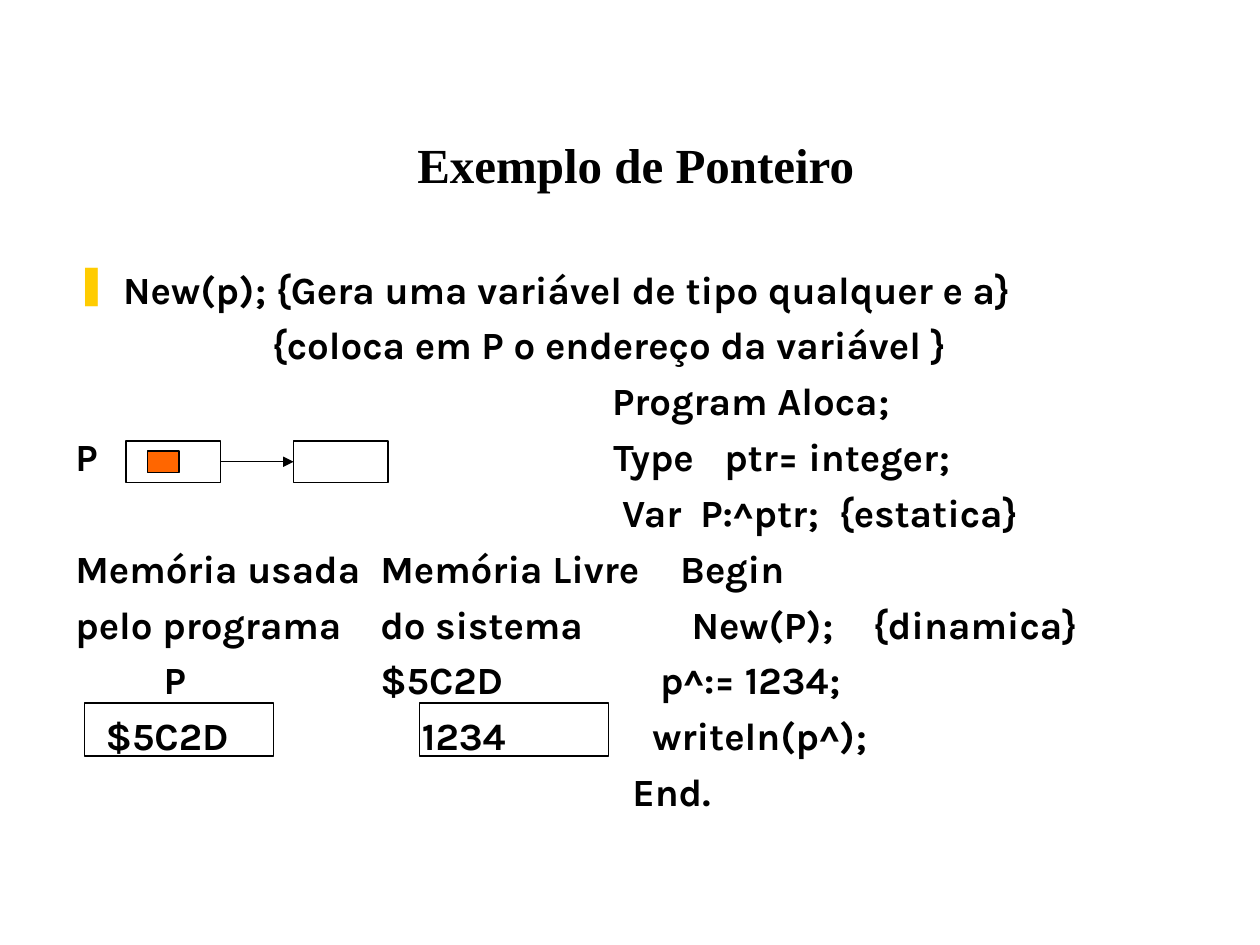
from pptx import Presentation
from pptx.dml.color import RGBColor
from pptx.enum.shapes import MSO_CONNECTOR as Connector, MSO_SHAPE as Shape
from pptx.enum.text import MSO_ANCHOR as Anchor, PP_ALIGN as Align
from pptx.oxml.ns import qn
from pptx.util import Inches, Pt
from lxml.etree import SubElement

COLORS = {"ink": "000000", "bullet": "FFCC00", "pointer": "FF6600"}
TITLE = "Exemplo de Ponteiro"
TITLE_FONT = {"name": "Times New Roman", "size": Pt(28), "bold": True}
BODY_FONT = {"name": "Karla", "size": Pt(22), "bold": True}
BULLET, HANGING = "❚", 0.38
BULLET_LINE = "New(p); {Gera uma variável de tipo qualquer e a}"

# Each line holds (distance from the text edge in inches, words).
LINES = [
    [(1.56, "{coloca em P o endereço da variável }")],
    [(4.26, "Program Aloca;")],
    [(0, "P"), (4.27, "Type"), (5.15, "ptr= integer;")],
    [(4.34, "Var"), (4.96, "P:^ptr;"), (6.06, "{estatica}")],
    [(0, "Memória usada"), (2.42, "Memória Livre"), (4.8, "Begin")],
    [(0, "pelo programa"), (2.42, "do sistema"), (4.89, "New(P);"), (6.33, "{dinamica}")],
    [(0.7, "P"), (2.42, "$5C2D"), (4.64, "p^:= 1234;")],
    [(0.24, "$5C2D"), (2.75, "1234"), (4.58, "writeln(p^);")],
    [(4.42, "End.")],
]

# Left, top, width, height, fill
POINTER_BOX = (1, 3.5, 0.75, 0.33, None)
TARGET_BOX = (2.33, 3.5, 0.75, 0.33, None)
POINTER_MARK = (1.17, 3.58, 0.25, 0.17, "pointer")
MEMORY_BOXES = [(left, 5.58, 1.5, 0.42, None) for left in (0.67, 3.33)]


def color(name):
    return RGBColor.from_string(COLORS[name])


def set_font(paragraph, values):
    for name, value in values.items():
        setattr(paragraph.font, name, value)
    paragraph.font.color.rgb = color("ink")


def add_text_frame(slide, *place):
    frame = slide.shapes.add_textbox(*map(Inches, place)).text_frame
    frame.word_wrap = True
    return frame


def add_bullet(paragraph):
    properties = paragraph._p.get_or_add_pPr()
    properties.set("marL", str(Inches(HANGING)))
    properties.set("indent", str(-Inches(HANGING)))
    bullet_color = SubElement(properties, qn("a:buClr"))
    SubElement(bullet_color, qn("a:srgbClr"), val=COLORS["bullet"])
    SubElement(properties, qn("a:buChar"), char=BULLET)


def add_tabbed_line(paragraph, cells):
    """Write the cells, each one past the edge at its own tab stop."""
    tab_list = SubElement(paragraph._p.get_or_add_pPr(), qn("a:tabLst"))
    for position, _ in cells:
        if position:
            SubElement(tab_list, qn("a:tab"), pos=str(Inches(position)), algn="l")
    paragraph.text = "".join(("\t" if position else "") + words for position, words in cells)
    paragraph.space_before = Pt(5.5)


def add_box(slide, left, top, width, height, fill):
    box = slide.shapes.add_shape(Shape.RECTANGLE, *map(Inches, (left, top, width, height)))
    box.shadow.inherit = False
    if fill:
        box.fill.solid()
        box.fill.fore_color.rgb = color(fill)
    else:
        box.fill.background()
    box.line.color.rgb = color("ink")
    box.line.width = Pt(0.75)


def add_arrow(slide, source, target):
    """Join the right side of one box to the left side of the other."""
    middle = source[1] + source[3] / 2
    ends = (source[0] + source[2], middle, target[0], middle)
    arrow = slide.shapes.add_connector(Connector.STRAIGHT, *map(Inches, ends))
    arrow.line.color.rgb = color("ink")
    arrow.line.width = Pt(0.75)
    SubElement(arrow.line._get_or_add_ln(), qn("a:tailEnd"), type="triangle")
    SubElement(arrow._element.spPr, qn("a:effectLst"))


def main():
    presentation = Presentation()
    presentation.slide_width, presentation.slide_height = Inches(10), Inches(7.5)
    slide = presentation.slides.add_slide(presentation.slide_layouts[6])

    title_frame = add_text_frame(slide, 0.17, 0.5, 9.75, 1.08)
    title_frame.vertical_anchor = Anchor.BOTTOM
    title = title_frame.paragraphs[0]
    title.text, title.alignment = TITLE, Align.CENTER
    set_font(title, TITLE_FONT)

    body = add_text_frame(slide, 0.5, 2.06, 8.94, 4.56)
    first = body.paragraphs[0]
    add_bullet(first)
    first.text = BULLET_LINE
    for cells in LINES:
        add_tabbed_line(body.add_paragraph(), cells)
    for paragraph in body.paragraphs:
        set_font(paragraph, BODY_FONT)

    for box in (POINTER_BOX, TARGET_BOX, POINTER_MARK, *MEMORY_BOXES):
        add_box(slide, *box)
    add_arrow(slide, POINTER_BOX, TARGET_BOX)
    presentation.save("out.pptx")


if __name__ == "__main__":
    main()
